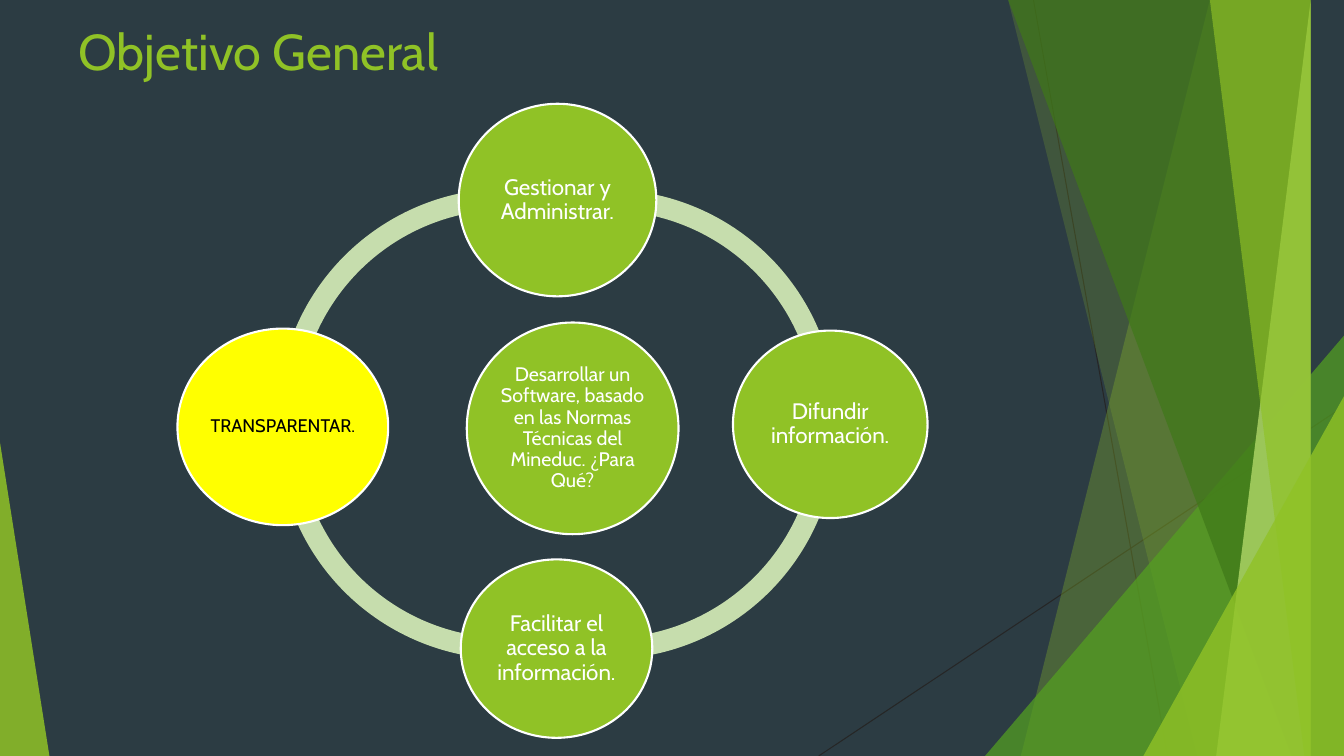
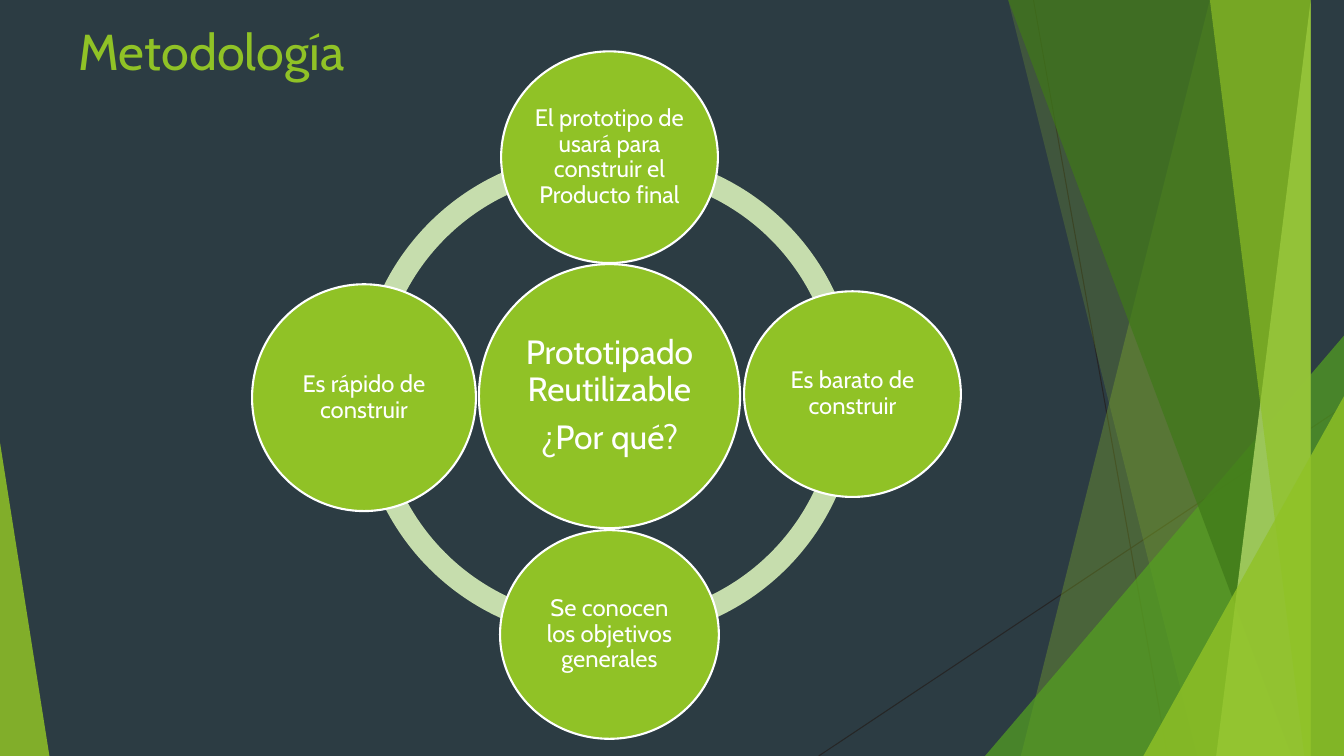
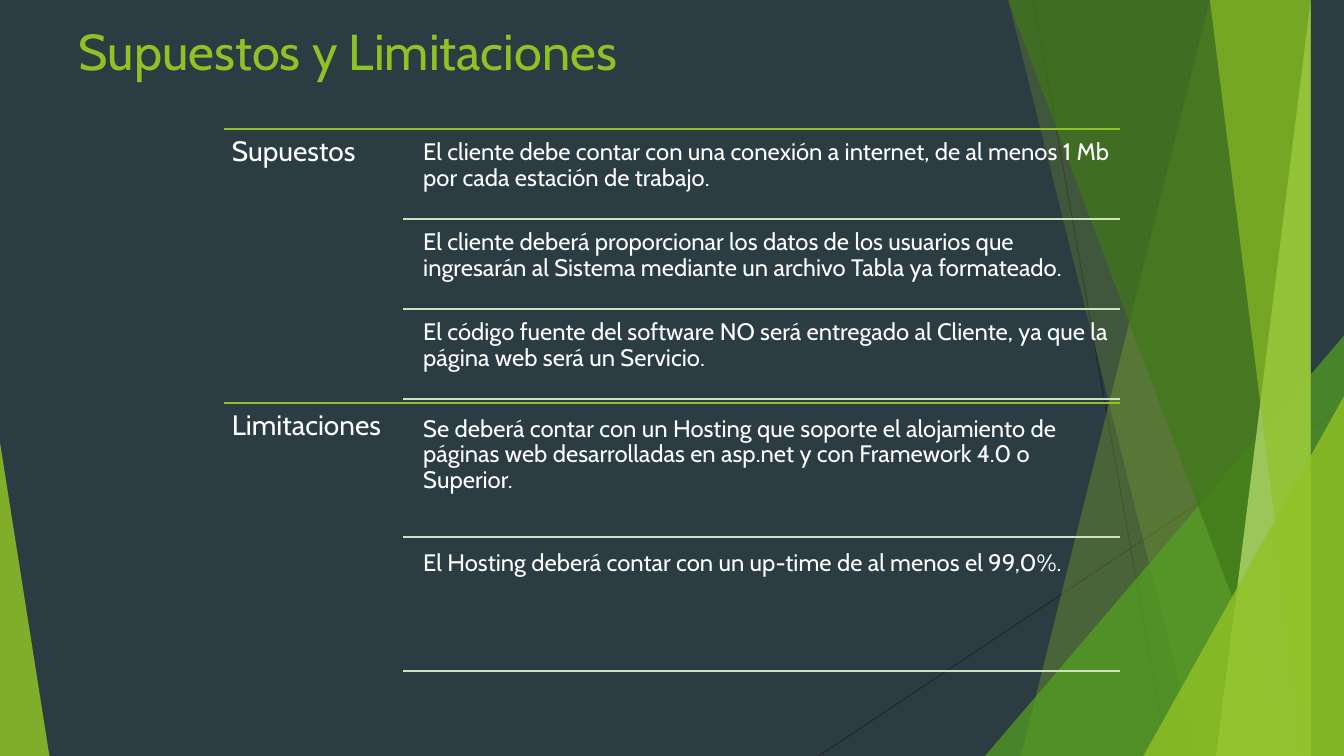
import lxml.etree
import pptx
import pptx.dml.color
import pptx.enum.shapes
import pptx.enum.text
import pptx.oxml.ns
import pptx.util
from dataclasses import dataclass

Inches, Pt = pptx.util.Inches, pptx.util.Pt
SHAPES = pptx.enum.shapes.MSO_SHAPE
ANCHORS = pptx.enum.text.MSO_ANCHOR
ALIGNS = pptx.enum.text.PP_ALIGN
WIDTH, HEIGHT = 13.33, 7.5


@dataclass(frozen=True)
class Theme:
    font: str = "Cabin"
    background: str = "2C3C43"
    lime: str = "90C226"
    green: str = "54A021"
    forest: str = "3F7819"
    pale: str = "C0E474"
    ring: str = "C6DDAD"
    rule: str = "D1E3BE"
    hairline: str = "262626"
    yellow: str = "FFFF00"
    white: str = "FFFFFF"
    black: str = "000000"
    title_size: int = 36
    heading_size: int = 20
    body_size: int = 17
    line_width: float = 1.5


theme = Theme()

# Content: scenery, back to front
HAIRLINES = [(10.25, 0, 11.58, HEIGHT), (WIDTH, 4.03, 8.12, HEIGHT)]
# Bands reach the right edge: ("band", top x, bottom x, colour, opacity)
# Corners are right triangles: ("corner", left, top, width, apex, colour, opacity)
SCENERY = [
    ("band", 12.28, 10.04, theme.lime, 30),
    ("band", 10.5, 11.83, theme.lime, 20),
    ("corner", 9.77, 3.33, 3.56, 1, theme.green, 72),
    ("band", 10.21, 12.91, theme.forest, 70),
    ("band", 13.03, 11.92, theme.pale, 70),
    ("band", 11.96, 13.18, theme.lime, 65),
    ("corner", 11.34, 3.93, 1.99, 1, theme.lime, 80),
    ("corner", 0, 4.39, 0.49, 0, theme.lime, 85),
]
TITLE_BOX = (0.68, 0.15, 9.4, 0.91)

# Content: cycles. Arcs: left, top, start and end degrees.
# Circles: left, top, width, height, type size, paragraphs, fill, text colour
GREEN, YELLOW = (theme.lime, theme.white), (theme.yellow, theme.black)
CYCLES = [
    ("Objetivo General", 4.56, [
        (2.75, 1.87, 177.76, 283.21),
        (2.75, 1.98, 77.2, 180.7),
        (3.74, 1.98, 358.57, 102.82),
        (3.74, 1.88, 257.56, 1.35),
    ], [
        (4.63, 3.2, 2.1, 2.1, 14, ["Desarrollar un Software, basado en las Normas "
                                   "Técnicas del Mineduc. ¿Para Qué?"], GREEN),
        (4.55, 1.03, 1.96, 1.91, 16, ["Gestionar y Administrar."], GREEN),
        (7.27, 3.28, 1.93, 1.86, 16, ["Difundir información."], GREEN),
        (4.57, 5.55, 1.9, 1.77, 16, ["Facilitar el acceso a la información."], GREEN),
        (1.76, 3.26, 2.09, 1.95, 13, ["TRANSPARENTAR."], YELLOW),
    ]),
    ("Metodología", 4.84, [
        (3.55, 1.5, 179.61, 271.75),
        (3.55, 1.51, 88.25, 179.66),
        (3.67, 1.51, 359.63, 91.07),
        (3.67, 1.51, 268.93, 359.65),
    ], [
        (4.75, 2.62, 2.59, 2.62, 24, ["Prototipado Reutilizable", "¿Por qué?"], GREEN),
        (4.97, 0.51, 2.15, 2.1, 17,
         ["El prototipo de usará para construir el Producto final"], GREEN),
        (7.38, 2.89, 2.15, 2.04, 17, ["Es barato de construir"], GREEN),
        (4.96, 5.26, 2.17, 2.07, 17, ["Se conocen los objetivos generales"], GREEN),
        (2.5, 2.82, 2.22, 2.25, 17, ["Es rápido de construir"], GREEN),
    ]),
]

# Content: grouped list
LIST_TITLE = "Supuestos y Limitaciones"
GROUPS = [
    ("Supuestos", [
        "El cliente debe contar con una conexión a internet, de al menos 1 Mb "
        "por cada estación de trabajo.",
        "El cliente deberá proporcionar los datos de los usuarios que ingresarán "
        "al Sistema mediante un archivo Tabla ya formateado.",
        "El código fuente del software NO será entregado al Cliente, ya que la "
        "página web será un Servicio.",
    ]),
    ("Limitaciones", [
        "Se deberá contar con un Hosting que soporte el alojamiento de páginas web "
        "desarrolladas en asp.net y con Framework 4.0 o Superior.",
        "El Hosting deberá contar con un up-time de al menos el 99,0%.",
    ]),
]
LIST_LEFT, LIST_TOP, LIST_WIDTH, GROUP_HEIGHT = 2.22, 1.28, 8.89, 2.72
HEADING_SHARE = 0.2   # of the list's width
ITEM_INDENT = 0.13
GAP_SHARE = 0.05      # gap between items, of an item's height


# Helpers
def rgb(value):
    return pptx.dml.color.RGBColor.from_string(value)


def box(*lengths):
    return [Inches(length) for length in lengths]


def paint(shape, colour, outline=None, opacity=100):
    shape.shadow.inherit = False
    shape.fill.solid()
    shape.fill.fore_color.rgb = rgb(colour)
    if outline:
        shape.line.color.rgb = rgb(outline)
        shape.line.width = Pt(theme.line_width)
    else:
        shape.line.fill.background()
    if opacity < 100:
        colour_element = shape.element.spPr.find(".//" + pptx.oxml.ns.qn("a:srgbClr"))
        alpha = lxml.etree.SubElement(colour_element, pptx.oxml.ns.qn("a:alpha"))
        alpha.set("val", str(opacity * 1000))


def draw_line(slide, ends, colour, width=theme.line_width):
    line = slide.shapes.add_connector(pptx.enum.shapes.MSO_CONNECTOR.STRAIGHT, *box(*ends))
    line.line.color.rgb = rgb(colour)
    line.line.width = Pt(width)
    lxml.etree.SubElement(line.element.spPr, pptx.oxml.ns.qn("a:effectLst"))


def write(shape, paragraphs, size, colour, inset, align, anchor):
    frame = shape.text_frame
    frame.word_wrap = True
    frame.vertical_anchor = anchor
    frame.margin_left = frame.margin_right = Inches(inset)
    frame.margin_top = frame.margin_bottom = Inches(inset)
    frame.text = "\n".join(paragraphs)
    for paragraph in frame.paragraphs:
        paragraph.alignment = align
        paragraph.line_spacing = 0.9
        paragraph.space_after = Pt(0.35 * size)
        paragraph.font.name = theme.font
        paragraph.font.size = Pt(size)
        paragraph.font.color.rgb = rgb(colour)


def add_titled_slide(title):
    slide = presentation.slides.add_slide(layout)
    placeholder = slide.shapes.title
    placeholder.left, placeholder.top, placeholder.width, placeholder.height = box(*TITLE_BOX)
    placeholder.text = title
    frame = placeholder.text_frame
    frame.vertical_anchor = ANCHORS.TOP
    frame.auto_size = pptx.enum.text.MSO_AUTO_SIZE.NONE
    paragraph = frame.paragraphs[0]
    paragraph.alignment = ALIGNS.LEFT
    paragraph.font.name = theme.font
    paragraph.font.size = Pt(theme.title_size)
    paragraph.font.color.rgb = rgb(theme.lime)
    return slide


def draw_scenery(slide):
    for ends in HAIRLINES:
        draw_line(slide, ends, theme.hairline, 0.75)
    for kind, *geometry, colour, opacity in SCENERY:
        if kind == "band":
            top_x, bottom_x = geometry
            builder = slide.shapes.build_freeform(top_x, 0, scale=Inches(1))
            builder.add_line_segments([(WIDTH, 0), (WIDTH, HEIGHT), (bottom_x, HEIGHT)])
            shape = builder.convert_to_shape()
        else:
            left, top, width, apex = geometry
            shape = slide.shapes.add_shape(
                SHAPES.ISOSCELES_TRIANGLE, *box(left, top, width, HEIGHT - top))
            shape.adjustments[0] = apex
        paint(shape, colour, opacity=opacity)


def move_to_layout(slide):
    drawn = [shape for shape in slide.shapes if not shape.is_placeholder]
    for position, shape in enumerate(drawn, start=2):
        layout.shapes.element.insert(position, shape.element)


def draw_cycle(slide, diameter, arcs, circles):
    for left, top, start, end in arcs:
        arc = slide.shapes.add_shape(SHAPES.BLOCK_ARC, *box(left, top, diameter, diameter))
        # Angles count 60000 units a degree, adjustments 100000 units
        for index, value in enumerate((start * 0.6, end * 0.6, 0.046)):
            arc.adjustments[index] = value
        paint(arc, theme.ring)
    for *place, size, paragraphs, (fill, text_colour) in circles:
        circle = slide.shapes.add_shape(SHAPES.OVAL, *box(*place))
        paint(circle, fill, outline=theme.white)
        write(circle, paragraphs, size, text_colour, 0.02, ALIGNS.CENTER, ANCHORS.MIDDLE)


def add_text(slide, place, text, size, inset):
    write(slide.shapes.add_textbox(*box(*place)), [text], size, theme.white, inset,
          ALIGNS.LEFT, ANCHORS.TOP)


def draw_groups(slide):
    right = LIST_LEFT + LIST_WIDTH
    heading_width = LIST_WIDTH * HEADING_SHARE
    rule_left = LIST_LEFT + heading_width
    item_left = rule_left + ITEM_INDENT
    for index, (heading, items) in enumerate(GROUPS):
        top = LIST_TOP + index * GROUP_HEIGHT
        draw_line(slide, (LIST_LEFT, top, right, top), theme.lime)
        add_text(slide, (LIST_LEFT, top, heading_width, GROUP_HEIGHT), heading,
                 theme.heading_size, 0.08)
        count = len(items)
        item_height = GROUP_HEIGHT / (count + (count + 1) * GAP_SHARE)
        for item in items:
            top += item_height * GAP_SHARE
            add_text(slide, (item_left, top, right - item_left, item_height), item,
                     theme.body_size, 0.07)
            top += item_height
            draw_line(slide, (rule_left, top, right, top), theme.rule)


# Build
presentation = pptx.Presentation()
presentation.slide_width, presentation.slide_height = box(WIDTH, HEIGHT)
layout = presentation.slide_layouts[5]
layout.background.fill.solid()
layout.background.fill.fore_color.rgb = rgb(theme.background)

for number, (title, diameter, arcs, circles) in enumerate(CYCLES):
    cycle_slide = add_titled_slide(title)
    if number == 0:
        draw_scenery(cycle_slide)
        move_to_layout(cycle_slide)
    draw_cycle(cycle_slide, diameter, arcs, circles)
draw_groups(add_titled_slide(LIST_TITLE))

presentation.save("out.pptx")
